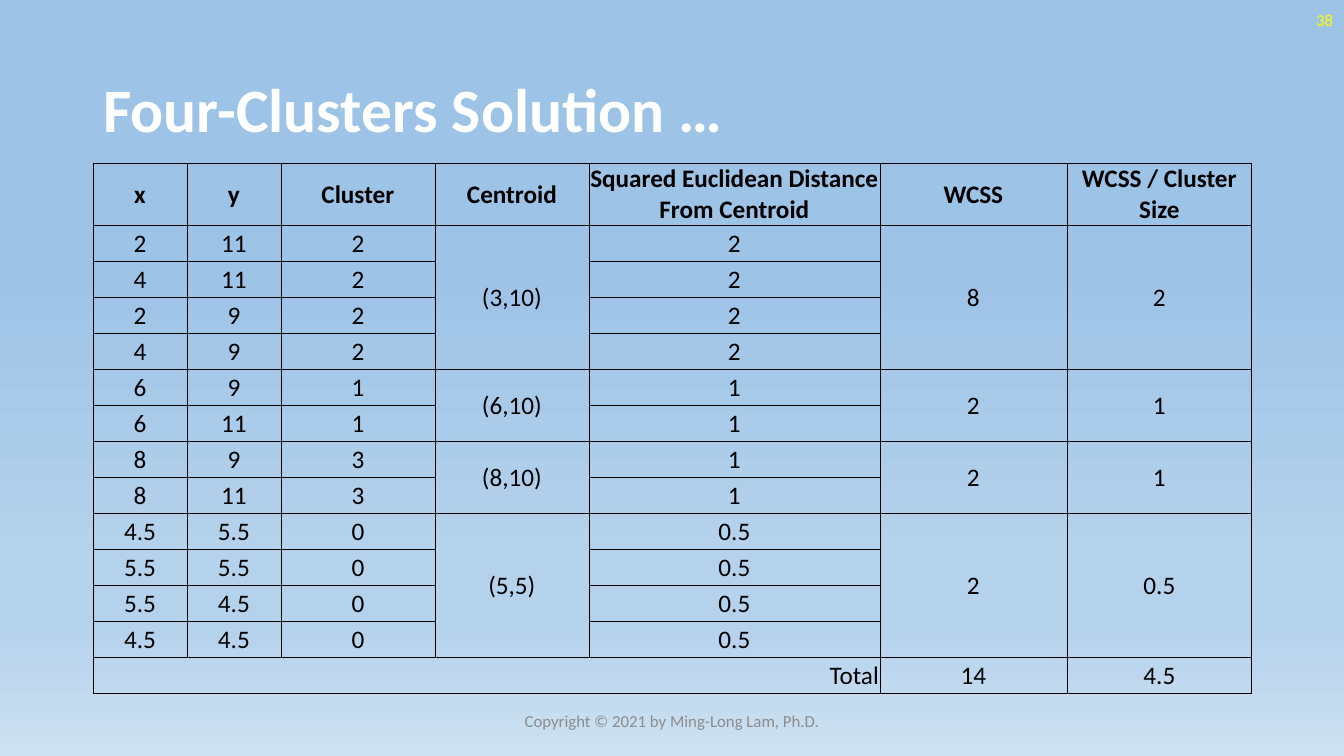
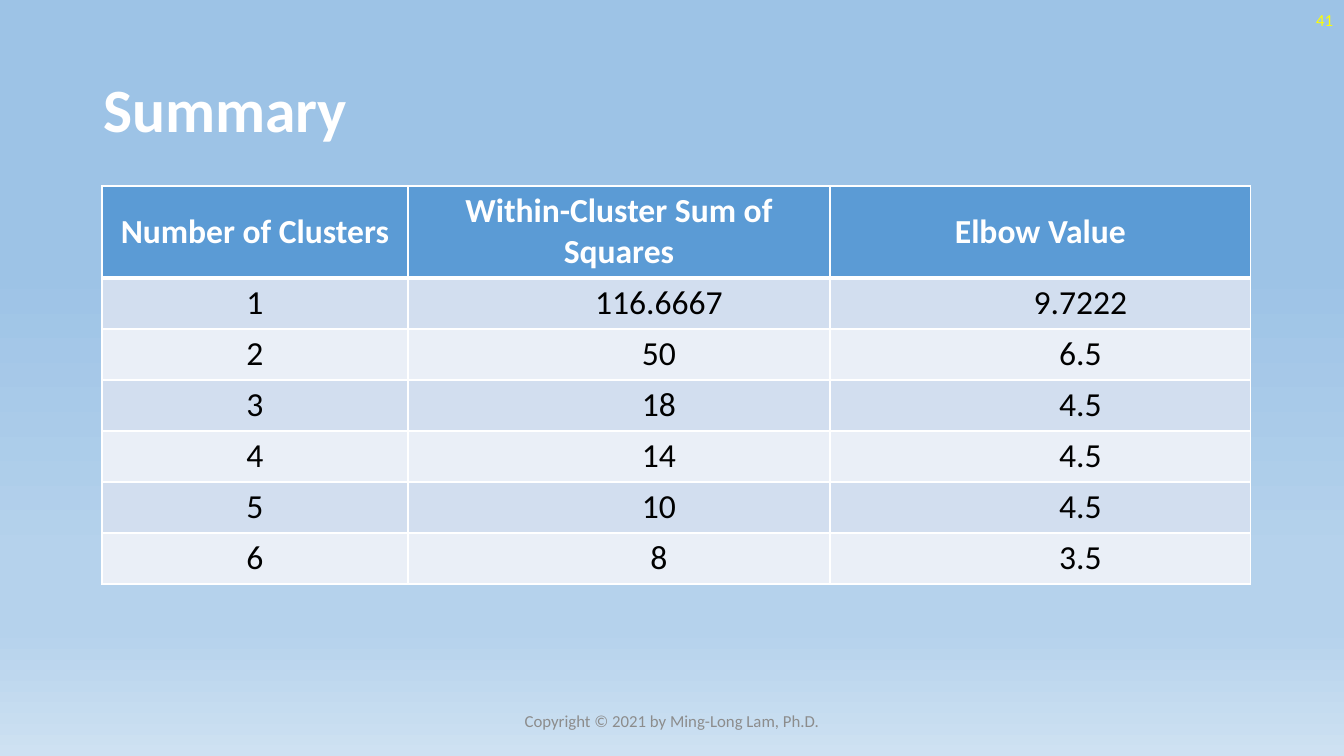
"""Build two slides on k-means results: a cluster table and a summary table."""
from lxml import etree
from pptx import Presentation
from pptx import util as u
from pptx.dml.color import RGBColor
from pptx.enum import text
from pptx.oxml.ns import qn

SCALE = 12192000 / 1344
FONT = "Calibri"
WHITE = RGBColor(0xFF, 0xFF, 0xFF)
BLACK = RGBColor(0, 0, 0)
YELLOW = RGBColor(0xFF, 0xFF, 0)
GRAY = RGBColor(0x8C, 0x8C, 0x8C)
HEADER_BLUE = RGBColor(0x5B, 0x9B, 0xD5)
BANDS = [RGBColor(0xEA, 0xEF, 0xF7), RGBColor(0xD2, 0xDE, 0xEF)]
SKY = [(35, RGBColor(0x9D, 0xC3, 0xE6)), (74, RGBColor(0xB5, 0xD2, 0xEC)),
       (83, RGBColor(0xB5, 0xD2, 0xEC)), (100, RGBColor(0xCE, 0xE1, 0xF2))]
LEFT, CENTER, RIGHT = text.PP_ALIGN.LEFT, text.PP_ALIGN.CENTER, text.PP_ALIGN.RIGHT
MIDDLE = text.MSO_ANCHOR.MIDDLE


def write(frame, words, size, color, align, bold=False):
    """Put one formatted paragraph into a text frame."""
    frame.word_wrap = True
    frame.vertical_anchor = MIDDLE
    paragraph = frame.paragraphs[0]
    paragraph.text = words
    paragraph.alignment = align
    paragraph.font.name = FONT
    paragraph.font.size = u.Pt(size)
    paragraph.font.bold = bold
    paragraph.font.color.rgb = color
    return paragraph


def draw_table(slide, left, top, widths, heights, rows, size, line, line_width):
    """Add a table with plain borders, a bold first row and centred text."""
    frame = slide.shapes.add_table(
        len(heights), len(widths), *[int(n * SCALE) for n in (left, top, sum(widths), sum(heights))])
    table = frame.table
    table.first_row = table.horz_banding = False
    for column, width in zip(table.columns, widths):
        column.width = int(width * SCALE)
    for row, height in zip(table.rows, heights):
        row.height = int(height * SCALE)
    for r, values in enumerate(rows):
        for c, value in enumerate(values):
            cell = table.cell(r, c)
            cell.vertical_anchor = MIDDLE
            for side in ("lnL", "lnR", "lnT", "lnB"):
                border = etree.SubElement(cell._tc.get_or_add_tcPr(), qn("a:" + side))
                border.set("w", str(u.Pt(line_width)))
                solid = etree.SubElement(border, qn("a:solidFill"))
                etree.SubElement(solid, qn("a:srgbClr")).set("val", str(line))
            cell.fill.background()
            if value:
                write(cell.text_frame, value, size, BLACK, CENTER, bold=r == 0)
    return table


presentation = Presentation()
presentation.slide_width = int(1344 * SCALE)
presentation.slide_height = int(756 * SCALE)

master = presentation.slide_master
sky_fill = master.background.fill
sky_fill.gradient()
sky_fill.gradient_angle = 270
stops = master.element.find(".//" + qn("a:gsLst"))
for stop in list(stops):
    stops.remove(stop)
for percent, color in SKY:
    stop = etree.SubElement(stops, qn("a:gs"))
    stop.set("pos", str(percent * 1000))
    etree.SubElement(stop, qn("a:srgbClr")).set("val", str(color))

slides = []
for title_words, number in (("Four-Clusters Solution …", "38"), ("Summary", "41")):
    slide = presentation.slides.add_slide(presentation.slide_layouts[5])
    title = slide.shapes.title
    title.left, title.top, title.width, title.height = [int(n * SCALE) for n in (93, 40, 1159, 146)]
    write(title.text_frame, title_words, 44, WHITE, LEFT, bold=True).line_spacing = 0.9
    for words, color, align, box in (
            (number, YELLOW, RIGHT, (1041, 0, 302, 40)),
            ("Copyright © 2021 by Ming-Long Lam, Ph.D.", GRAY, CENTER, (445, 701, 454, 40))):
        label = slide.shapes.add_textbox(*[int(n * SCALE) for n in box])
        write(label.text_frame, words, 12, color, align)
    slides.append(slide)
clusters_slide, summary_slide = slides

clusters = [
    ("2", "(3,10)", "2", "8", "2", [("2", "11"), ("4", "11"), ("2", "9"), ("4", "9")]),
    ("1", "(6,10)", "1", "2", "1", [("6", "9"), ("6", "11")]),
    ("3", "(8,10)", "1", "2", "1", [("8", "9"), ("8", "11")]),
    ("0", "(5,5)", "0.5", "2", "0.5",
     [("4.5", "5.5"), ("5.5", "5.5"), ("5.5", "4.5"), ("4.5", "4.5")]),
]
cluster_rows = [("x", "y", "Cluster", "Centroid", "Squared Euclidean Distance From Centroid",
                 "WCSS", "WCSS / Cluster Size")]
spans = []
for cluster, centroid, distance, wcss, ratio, points in clusters:
    spans.append((len(cluster_rows), len(cluster_rows) + len(points) - 1))
    for i, (x, y) in enumerate(points):
        shared = (centroid, wcss, ratio) if i == 0 else ("", "", "")
        cluster_rows.append((x, y, cluster, shared[0], distance, shared[1], shared[2]))
cluster_rows.append(("Total", "", "", "", "", "14", "4.5"))

cluster_table = draw_table(clusters_slide, 93, 163, [94, 94, 154, 154, 291, 187, 185],
                           [62] + [36] * 13, cluster_rows, 18, BLACK, 0.5)
for cell in cluster_table.iter_cells():
    cell.margin_left = cell.margin_right = cell.margin_top = int(SCALE)
    cell.margin_bottom = 0
for first, last in spans:
    for column in (3, 5, 6):
        cluster_table.cell(first, column).merge(cluster_table.cell(last, column))
total = cluster_table.cell(13, 0)
total.merge(cluster_table.cell(13, 4))
total.text_frame.paragraphs[0].alignment = RIGHT

summary_rows = [
    ("Number of Clusters", "Within-Cluster Sum of Squares", "Elbow Value"),
    ("1", "116.6667", "9.7222"),
    ("2", "50", "6.5"),
    ("3", "18", "4.5"),
    ("4", "14", "4.5"),
    ("5", "10", "4.5"),
    ("6", "8", "3.5"),
]
summary_table = draw_table(summary_slide, 102, 186, [306, 422, 421], [92] + [51] * 6,
                           summary_rows, 24, WHITE, 1)
for r in range(len(summary_rows)):
    for c in range(3):
        cell = summary_table.cell(r, c)
        cell.fill.solid()
        cell.fill.fore_color.rgb = BANDS[r % 2] if r else HEADER_BLUE
        if r == 0:
            cell.text_frame.paragraphs[0].font.color.rgb = WHITE
        elif c:
            cell.margin_left = int(90 * SCALE)
        if r < 2:
            edge = cell._tc.tcPr.find(qn("a:lnT" if r else "a:lnB"))
            edge.set("w", str(u.Pt(3)))

presentation.save("out.pptx")
